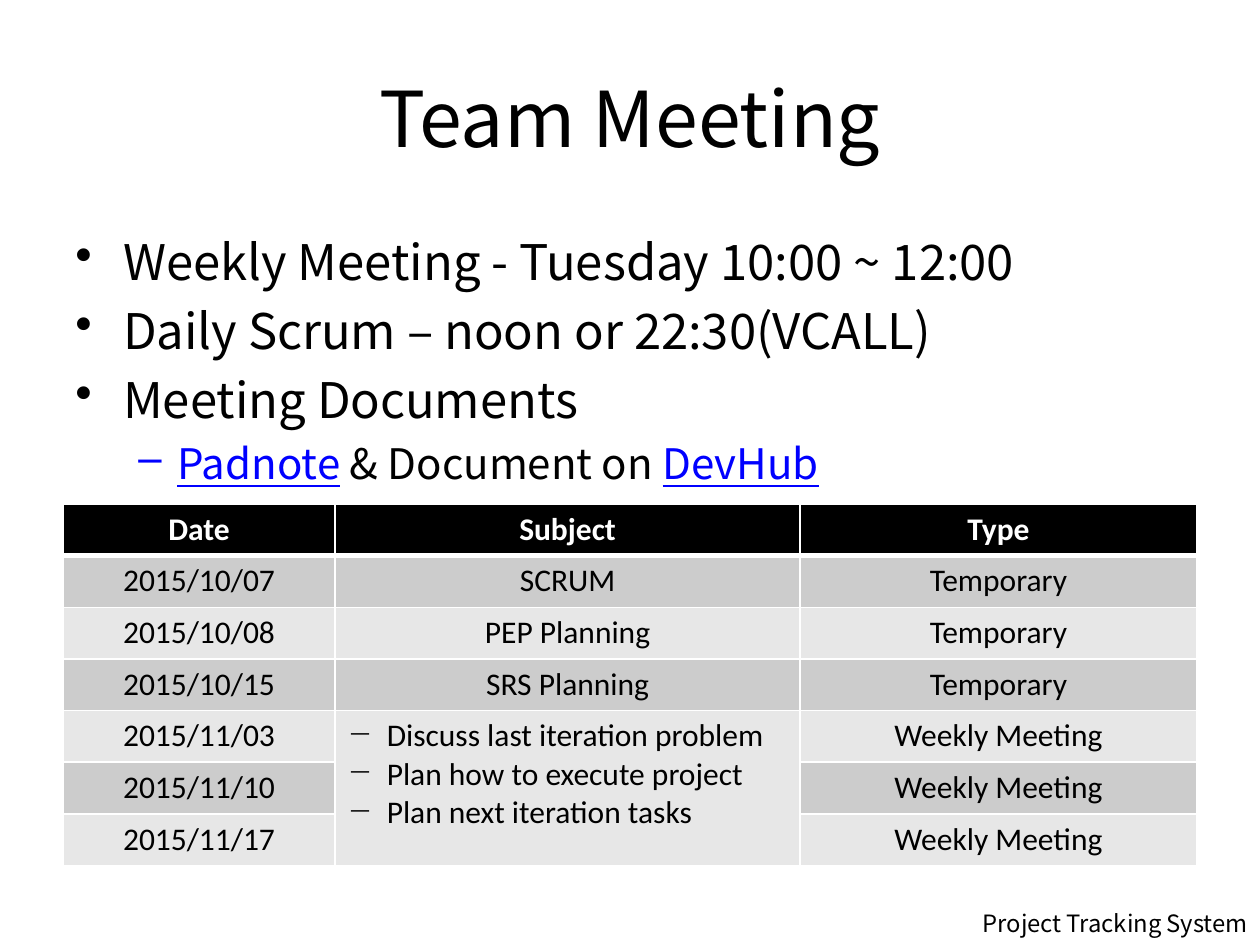
from dataclasses import dataclass

from lxml import etree
from pptx import Presentation
from pptx import util as u
from pptx.dml.color import RGBColor
from pptx.enum import text
from pptx.oxml import ns


@dataclass(frozen=True)
class Theme:
    ink: str = "000000"
    paper: str = "FFFFFF"
    link: str = "0000FF"
    bands: tuple = ("CCCCCC", "E7E7E7")
    heading_font: str = "Noto Sans CJK SC"
    table_font: str = "Calibri"
    title: float = 44
    point: float = 28
    subpoint: float = 24
    cell: float = 18
    footer: float = 13.6
    line_ratio: float = 1.3
    gap: float = 3


THEME = Theme()
LEFT, CENTER, RIGHT = text.PP_ALIGN.LEFT, text.PP_ALIGN.CENTER, text.PP_ALIGN.RIGHT


def add_xml(parent, tag, **attributes):
    return etree.SubElement(parent, ns.qn(tag), attributes)


def write(paragraph, content, size, font=THEME.heading_font, color=THEME.ink,
          bold=False, align=LEFT, bullet=None, indent=0, hang=0, spaced=False):
    """Fill a paragraph; content is a string or a list of (words, is_link)."""
    paragraph.alignment = align
    if spaced:
        paragraph.line_spacing = u.Pt(round(size * THEME.line_ratio, 1))
        paragraph.space_before = u.Pt(THEME.gap)
    if bullet:
        props = paragraph._p.get_or_add_pPr()
        props.set("marL", str(u.Inches(indent)))
        props.set("indent", str(-u.Inches(hang)))
        add_xml(props, "a:buChar", char=bullet)
    parts = [(content, False)] if isinstance(content, str) else content
    for words, is_link in parts:
        run = paragraph.add_run()
        run.text = words
        run.font.name, run.font.size, run.font.bold = font, u.Pt(size), bold
        run.font.underline = is_link
        run.font.color.rgb = RGBColor.from_string(THEME.link if is_link else color)


class Page:
    def __init__(self, slide, theme):
        self.slide, self.theme = slide, theme

    def text_box(self, box, lines, anchor=text.MSO_ANCHOR.TOP):
        """Each line is a (content, format) pair."""
        frame = self.slide.shapes.add_textbox(*map(u.Inches, box)).text_frame
        frame.word_wrap = True
        frame.vertical_anchor = anchor
        self.fill_frame(frame, lines)

    def fill_frame(self, frame, lines):
        for i, (content, style) in enumerate(lines):
            paragraph = frame.add_paragraph() if i else frame.paragraphs[0]
            write(paragraph, content, **style)

    def border(self, cell, side, width):
        props = cell._tc.get_or_add_tcPr()
        line = add_xml(props, f"a:ln{side}", w=str(u.Pt(width)))
        add_xml(add_xml(line, "a:solidFill"), "a:srgbClr", val=self.theme.paper)

    def table(self, origin, widths, row_height, rows, merge):
        theme = self.theme
        grid = self.slide.shapes.add_table(
            len(rows), len(widths), *map(u.Inches, origin),
            u.Inches(sum(widths)), u.Inches(row_height * len(rows))).table
        for column, width in zip(grid.columns, widths):
            column.width = u.Inches(width)
        for r, row in enumerate(rows):
            grid.rows[r].height = u.Inches(row_height)
            header = r == 0
            for c, content in enumerate(row):
                cell = grid.cell(r, c)
                for side in "LRTB":
                    heavy = (r, side) in ((0, "B"), (1, "T"))
                    self.border(cell, side, 3 if heavy else 1)
                cell.fill.solid()
                cell.fill.fore_color.rgb = RGBColor.from_string(
                    theme.ink if header else theme.bands[(r - 1) % 2])
                style = dict(size=theme.cell, font=theme.table_font, bold=header,
                             color=theme.paper if header else theme.ink)
                if isinstance(content, list):
                    style.update(bullet="\u2212", indent=0.31, hang=0.31)
                    self.fill_frame(cell.text_frame, [(item, style) for item in content])
                elif content:
                    self.fill_frame(cell.text_frame, [(content, dict(style, align=CENTER))])
        first, last = merge
        grid.cell(*first).merge(grid.cell(*last))


deck = Presentation()
deck.slide_width, deck.slide_height = u.Inches(10), u.Inches(7.5)
page = Page(deck.slides.add_slide(deck.slide_layouts[6]), THEME)

# Title
page.text_box((0.5, 0.3, 9, 1.25),
              [("Team Meeting", dict(size=THEME.title, align=CENTER))],
              anchor=text.MSO_ANCHOR.MIDDLE)

# Meeting times and documents
point = dict(size=THEME.point, bullet="•", indent=0.38, hang=0.38, spaced=True)
subpoint = dict(size=THEME.subpoint, bullet="–", indent=0.81, hang=0.31, spaced=True)
documents = [("Padnote", True), (" & Document on ", False), ("DevHub", True)]
page.text_box((0.5, 1.75, 9, 2.2), [
    ("Weekly Meeting - Tuesday 10:00 ~ 12:00", point),
    ("Daily Scrum – noon or 22:30(VCALL)", point),
    ("Meeting Documents", point),
    (documents, subpoint),
])

# Meeting log
agenda = ["Discuss last iteration problem", "Plan how to execute project",
          "Plan next iteration tasks"]
meetings = [
    ("Date", "Subject", "Type"),
    ("2015/10/07", "SCRUM", "Temporary"),
    ("2015/10/08", "PEP Planning", "Temporary"),
    ("2015/10/15", "SRS Planning", "Temporary"),
    ("2015/11/03", agenda, "Weekly Meeting"),
    ("2015/11/10", None, "Weekly Meeting"),
    ("2015/11/17", None, "Weekly Meeting"),
]
page.table((0.5, 4), (2.16, 3.69, 3.15), 0.41, meetings, merge=((4, 1), (6, 1)))

# Footer
page.text_box((7.4, 7.16, 2.6, 0.34),
              [("Project Tracking System", dict(size=THEME.footer, align=RIGHT))])

deck.save("out.pptx")
